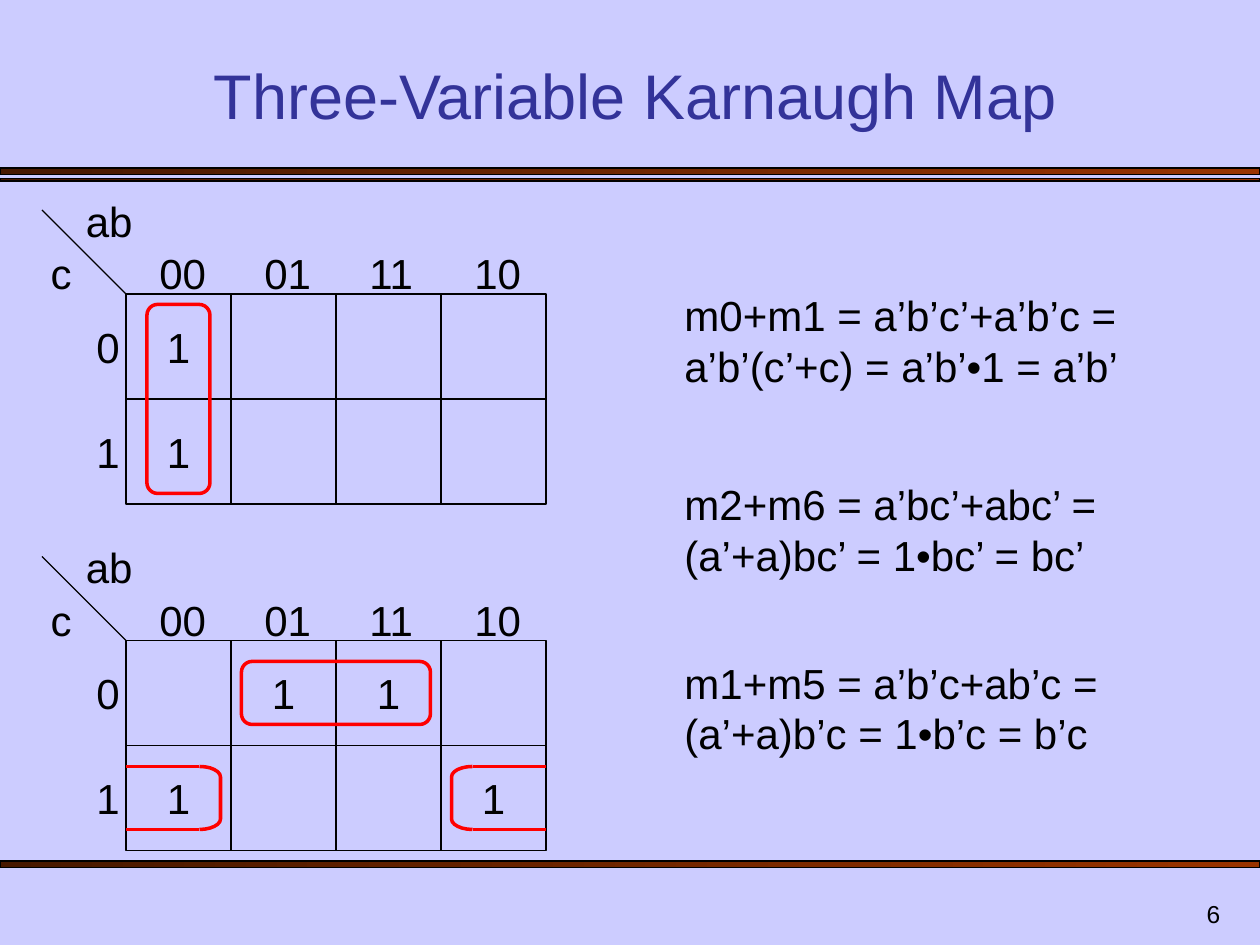
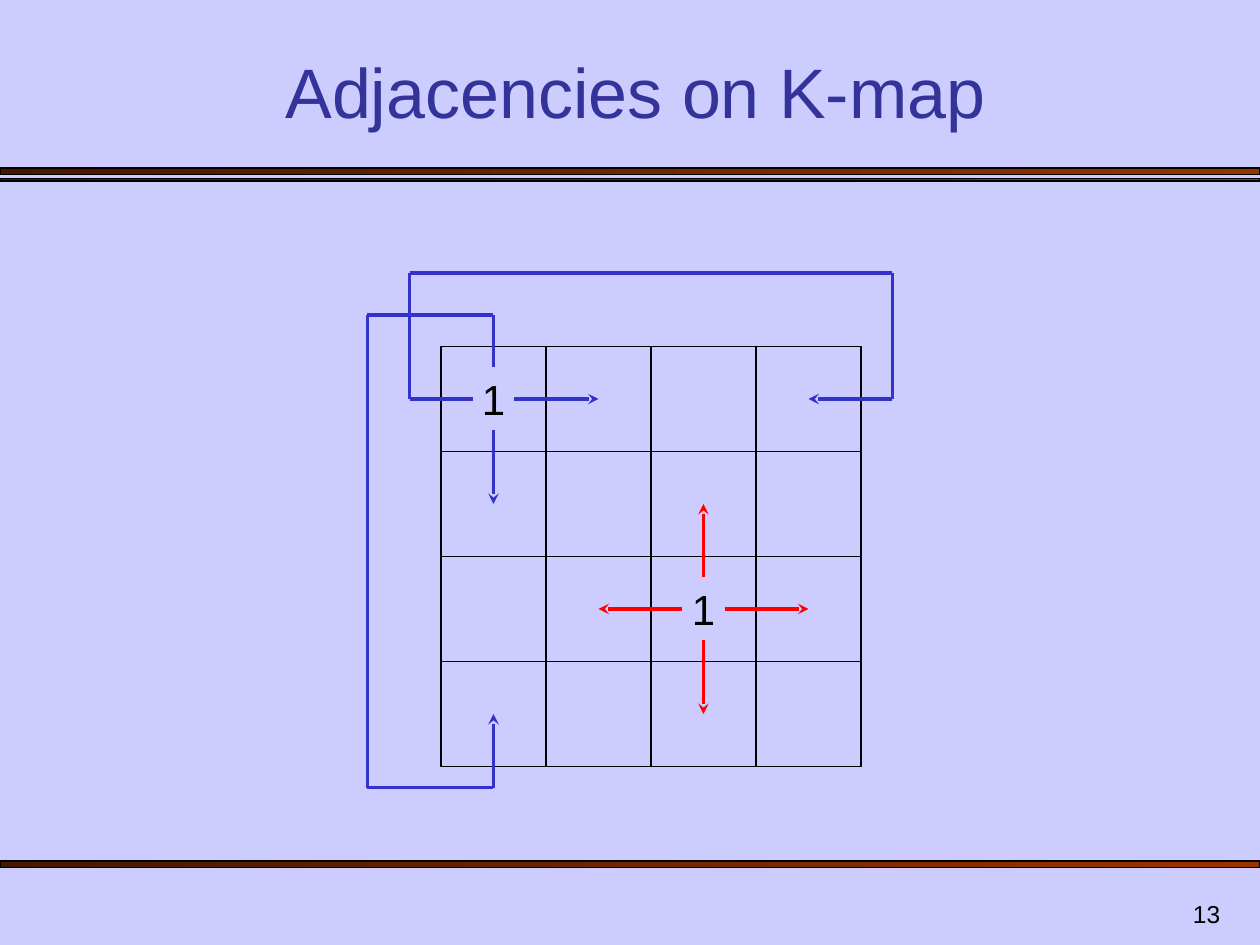
"""Build two Karnaugh map slides that share a title style, bands and page numbers."""

from dataclasses import dataclass
from typing import NamedTuple, Optional, Union

import lxml.etree
import pptx
import pptx.dml.color
import pptx.enum.shapes
import pptx.enum.text
import pptx.oxml.ns
import pptx.presentation
import pptx.shapes.autoshape
import pptx.shapes.shapetree
import pptx.slide
import pptx.text.text
import pptx.util

Color = pptx.dml.color.RGBColor
Preset = pptx.enum.shapes.MSO_SHAPE
Align = pptx.enum.text.PP_ALIGN
Anchor = pptx.enum.text.MSO_ANCHOR
Shapes = Union[pptx.shapes.shapetree.SlideShapes, pptx.shapes.shapetree.GroupShapes]

GRID_STEP_CM = 2.54 / 12
CELL = 10
LABEL_HEIGHT = 6


@dataclass(frozen=True)
class Theme:
    """Colours, font and sizes in points."""

    background: Color = Color(0xCC, 0xCC, 0xFF)
    title: Color = Color(0x33, 0x33, 0x99)
    ink: Color = Color(0x00, 0x00, 0x00)
    highlight: Color = Color(0xFF, 0x00, 0x00)
    route: Color = Color(0x33, 0x33, 0xCC)
    band_start: Color = Color(0x47, 0x18, 0x00)
    band_end: Color = Color(0x99, 0x33, 0x00)
    font: str = "Arial"
    body_size: float = 24
    page_size: float = 14
    thin: float = 0.75
    thick: float = 2


THEME = Theme()


class Point(NamedTuple):
    """A position in grid steps."""

    x: float
    y: float

    def shifted(self, x: float, y: float) -> "Point":
        """Return the point moved by the given steps."""
        return Point(self.x + x, self.y + y)


class Box(NamedTuple):
    """A rectangle in grid steps."""

    left: float
    top: float
    width: float
    height: float

    def lengths(self) -> list[pptx.util.Length]:
        """Return the rectangle as slide lengths."""
        return [step(value) for value in self]


@dataclass(frozen=True)
class KarnaughMap:
    """A cell grid with the cells, as column and row, that hold a 1."""

    origin: Point
    columns: int
    rows: int
    ones: tuple[tuple[int, int], ...]
    column_labels: tuple[str, ...] = ()


@dataclass(frozen=True)
class Loop:
    """An outline around adjacent cells."""

    box: Box
    preset: Preset
    adjustment: float


@dataclass(frozen=True)
class Formula:
    """A simplification and the top of its text."""

    top: float
    text: str


BANDS = (Box(0, 16, 120, 0.6), Box(0, 17, 120, 0.24), Box(0, 82, 120, 0.6))
TITLE_BOX = Box(7, 5, 107, 8.2)
PAGE_BOX = Box(92.4, 84, 25, 5)

GRAY_CODE = ("00", "01", "11", "10")
THREE_VARIABLE_MAPS = (
    KarnaughMap(Point(12, 61), 4, 2, ((0, 1), (1, 0), (2, 0), (3, 1)), GRAY_CODE),
    KarnaughMap(Point(12, 28), 4, 2, ((0, 0), (0, 1)), GRAY_CODE),
)
LOOPS = (
    Loop(Box(14, 29, 6, 18), Preset.ROUNDED_RECTANGLE, 0.17),
    Loop(Box(23, 63, 18, 6), Preset.ROUNDED_RECTANGLE, 0.17),
    Loop(Box(43, 73, 2, 6), Preset.LEFT_BRACKET, 0.5),
    Loop(Box(19, 73, 2, 6), Preset.RIGHT_BRACKET, 0.5),
)
WRAPPED_LOOP_EDGES = ((45, 52), (19, 12))
FORMULAS = (
    Formula(27, "m0+m1 = a’b’c’+a’b’c = a’b’(c’+c) = a’b’•1 = a’b’"),
    Formula(45, "m2+m6 = a’bc’+abc’ = (a’+a)bc’ = 1•bc’ = bc’"),
    Formula(62, "m1+m5 = a’b’c+ab’c = (a’+a)b’c = 1•b’c = b’c"),
)

ADJACENCY_MAP = KarnaughMap(Point(42, 33), 4, 4, ((0, 0), (2, 2)))
EAST, SOUTH, NORTH, WEST = (1, 0), (0, 1), (0, -1), (-1, 0)
ROW_WRAP = (Point(45, 38), Point(39, 38), Point(39, 26), Point(85, 26), Point(85, 38), Point(77, 38))
COLUMN_WRAP = (Point(47, 35), Point(47, 30), Point(35, 30), Point(35, 75), Point(47, 75), Point(47, 68))


def step(count: float) -> pptx.util.Length:
    """Return the length of a number of grid steps."""
    return pptx.util.Cm(count * GRID_STEP_CM)


def write(
    frame: pptx.text.text.TextFrame,
    text: str,
    *,
    size: float = THEME.body_size,
    color: Color = THEME.ink,
    align: Align = Align.LEFT,
    anchor: Anchor = Anchor.TOP,
) -> None:
    """Put formatted text in a frame."""
    frame.word_wrap = True
    frame.auto_size = pptx.enum.text.MSO_AUTO_SIZE.NONE
    frame.vertical_anchor = anchor
    paragraph = frame.paragraphs[0]
    paragraph.alignment = align
    run = paragraph.add_run()
    run.text = text
    run.font.name = THEME.font
    run.font.size = pptx.util.Pt(size)
    run.font.color.rgb = color


def add_text(shapes: Shapes, box: Box, text: str, **text_format) -> None:
    """Add a text box."""
    write(shapes.add_textbox(*box.lengths()).text_frame, text, **text_format)


def add_outline(
    shapes: Shapes,
    box: Box,
    preset: Preset = Preset.RECTANGLE,
    color: Color = THEME.ink,
    width: float = THEME.thin,
) -> pptx.shapes.autoshape.Shape:
    """Add an unfilled preset shape."""
    shape = shapes.add_shape(preset, *box.lengths())
    shape.shadow.inherit = False
    shape.fill.background()
    shape.line.color.rgb = color
    shape.line.width = pptx.util.Pt(width)
    return shape


def add_line(
    shapes: Shapes,
    start: Point,
    end: Point,
    color: Color = THEME.ink,
    width: float = THEME.thick,
    arrow: bool = False,
) -> None:
    """Add a straight line, with an arrowhead at its end if asked."""
    connector = shapes.add_connector(
        pptx.enum.shapes.MSO_CONNECTOR.STRAIGHT, *map(step, (*start, *end))
    )
    connector.line.color.rgb = color
    connector.line.width = pptx.util.Pt(width)
    qualify = pptx.oxml.ns.qn
    properties = connector.element.spPr
    if arrow:
        lxml.etree.SubElement(properties.find(qualify("a:ln")), qualify("a:tailEnd"), type="stealth")
    lxml.etree.SubElement(properties, qualify("a:effectLst"))


def add_route(shapes: Shapes, points: tuple[Point, ...]) -> None:
    """Join points with lines and end in an arrowhead."""
    for start, end in zip(points, points[1:]):
        add_line(shapes, start, end, THEME.route, arrow=end is points[-1])


def add_neighbour_arrows(
    shapes: Shapes, centre: Point, directions: tuple[tuple[int, int], ...], color: Color
) -> None:
    """Point from a cell centre to the centres of its neighbours."""
    for x, y in directions:
        add_line(
            shapes, centre.shifted(2 * x, 3 * y), centre.shifted(CELL * x, CELL * y), color, arrow=True
        )


def add_map(slide: pptx.slide.Slide, karnaugh: KarnaughMap) -> None:
    """Draw a map as one group, with axis labels if it has any."""
    shapes = slide.shapes.add_group_shape().shapes
    origin = karnaugh.origin

    def label(text: str, x: float, y: float, width: float, align: Align = Align.LEFT) -> None:
        """Add a label placed from the map's origin."""
        add_text(shapes, Box(*origin.shifted(x, y), width, LABEL_HEIGHT), text, align=align)

    for column in range(karnaugh.columns):
        for row in range(karnaugh.rows):
            add_outline(shapes, Box(*origin.shifted(CELL * column, CELL * row), CELL, CELL))
    for column, row in karnaugh.ones:
        label("1", CELL * column, CELL * row + 2, CELL, Align.CENTER)
    if karnaugh.column_labels:
        label("ab", -5, -10, 8)
        label("c", -10, -5, 6, Align.RIGHT)
        add_line(shapes, origin.shifted(-8, -8), origin, width=THEME.thin)
        for column, text in enumerate(karnaugh.column_labels):
            label(text, CELL * column + 2, -5, 7.2)
        for row in range(karnaugh.rows):
            label(str(row), -4, CELL * row + 2, 5.2)


def prepare_layout(presentation: pptx.presentation.Presentation) -> pptx.slide.SlideLayout:
    """Set the background and the title place of the title layout."""
    background = presentation.slide_master.background.fill
    background.solid()
    background.fore_color.rgb = THEME.background
    layout = presentation.slide_layouts.get_by_name("Title Only")
    title = layout.placeholders[0]
    title.left, title.top, title.width, title.height = TITLE_BOX.lengths()
    return layout


def add_bands(slide: pptx.slide.Slide) -> None:
    """Draw the gradient bands and hand them to the slide's layout."""
    for box in BANDS:
        band = add_outline(slide.shapes, box)
        band.fill.gradient()
        band.fill.gradient_angle = 0
        for stop, color in zip(band.fill.gradient_stops, (THEME.band_start, THEME.band_end)):
            stop.color.rgb = color
        slide.slide_layout.shapes.element.append(band.element)


def add_slide(
    presentation: pptx.presentation.Presentation,
    layout: pptx.slide.SlideLayout,
    title: str,
    title_size: float,
    page: int,
) -> pptx.slide.Slide:
    """Add a slide with its title and page number."""
    slide = presentation.slides.add_slide(layout)
    write(
        slide.shapes.title.text_frame, title,
        size=title_size, color=THEME.title, align=Align.CENTER, anchor=Anchor.BOTTOM,
    )
    add_text(
        slide.shapes, PAGE_BOX, str(page),
        size=THEME.page_size, align=Align.RIGHT, anchor=Anchor.BOTTOM,
    )
    return slide


def main() -> None:
    """Build and save the presentation."""
    presentation = pptx.Presentation()
    presentation.slide_width = pptx.util.Cm(25.4)
    presentation.slide_height = pptx.util.Cm(19.05)
    layout = prepare_layout(presentation)

    slide = add_slide(presentation, layout, "Three-Variable Karnaugh Map", 36, 6)
    add_bands(slide)
    for karnaugh in THREE_VARIABLE_MAPS:
        add_map(slide, karnaugh)
    for loop in LOOPS:
        outline = add_outline(slide.shapes, loop.box, loop.preset, THEME.highlight, THEME.thick)
        outline.adjustments[0] = loop.adjustment
    for start, end in WRAPPED_LOOP_EDGES:
        for y in (73, 79):
            add_line(slide.shapes, Point(start, y), Point(end, y), THEME.highlight)
    for formula in FORMULAS:
        add_text(slide.shapes, Box(64, formula.top, 45, 10.8), formula.text)

    slide = add_slide(presentation, layout, "Adjacencies on K-map", 40, 13)
    add_map(slide, ADJACENCY_MAP)
    add_neighbour_arrows(slide.shapes, Point(67, 58), (EAST, SOUTH, NORTH, WEST), THEME.highlight)
    add_neighbour_arrows(slide.shapes, Point(47, 38), (EAST, SOUTH), THEME.route)
    add_route(slide.shapes, ROW_WRAP)
    add_route(slide.shapes, COLUMN_WRAP)

    presentation.save("out.pptx")


if __name__ == "__main__":
    main()
